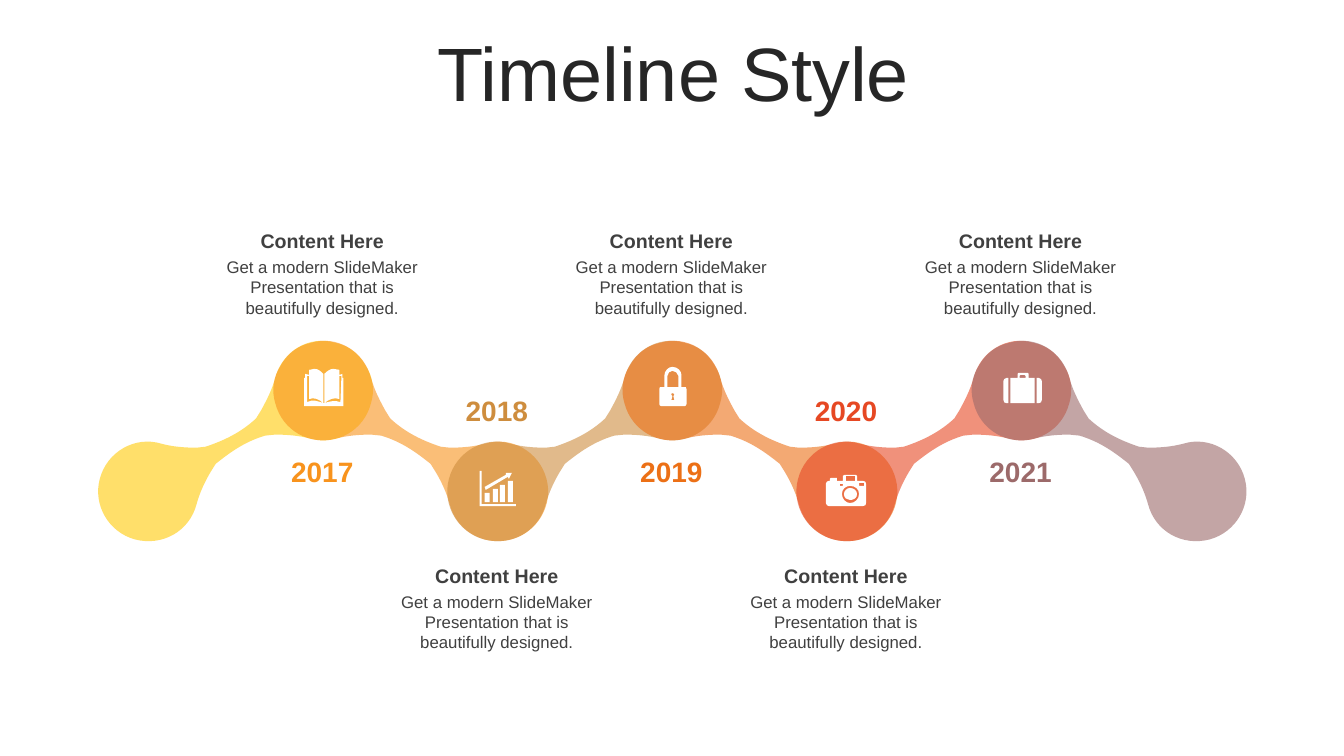
from lxml.etree import SubElement
from pptx import Presentation
from pptx.dml.color import RGBColor
from pptx.enum.text import MSO_ANCHOR, MSO_AUTO_SIZE, PP_ALIGN
from pptx.oxml.ns import qn
from pptx.util import Pt

GRID = 0.72
PITCH = 124.7
FIRST_LINK_X, LINK_Y = 168.5, 314.8
FIRST_NODE_X, UPPER_NODE_Y, LOWER_NODE_Y = 230.2, 278.6, 351.4

LINK = (
    "129 -74, 136 -63 138 -50 134 -37, 127 -10 100 5 74 -2, 63 -5 51 -6 39 -6, 29 -5, "
    "9 1 -5 11 -20 23, -25 31, -31 41 -36 52 -39 63, -46 90 -73 105 -100 98, "
    "-126 91 -142 64 -135 38, -128 11 -100 -5 -74 3, -63 6 -51 7 -39 7, -30 6, "
    "-12 0 5 -8 20 -22, 25 -30, 31 -41 36 -51 39 -62, 46 -89 73 -105 99 -97, "
    "113 -94 123 -85 129 -74"
)
BOOK = (
    "1 13, 2 13, 9 11 12 10 18 12, 19 -14, 17 -14, 17 9, 12 7 7 9 2 13, 2 -16, "
    "5 -19 8 -21 11 -21, 13 -21 15 -20 17 -20, 17 -15, 20 -16, 20 -12, 21 -12, 21 16, "
    "-18 16, -18 -12, -17 -12, -17 -16, -13 -15, -13 -20, -11 -20 -9 -21 -8 -21, "
    "-4 -21 -2 -19 1 -16, 1 13, -3 9 -9 7 -13 9, -13 -14, -15 -14, -15 12, -9 9 -5 11 1 13"
)
GROWTH = (
    "-12 1, -7 1, -7 10, -12 10; -4 -3, 1 -3, 1 10, -4 10; 3 -7, 8 -7, 8 10, 3 10; "
    "11 -11, 16 -11, 16 10, 11 10; "
    "9 -19, 15 -19, 12 -13, 11 -15, -11 -2, -12 -5, 9 -17; "
    "-17 -21, -15 -21, -15 12, 19 12, 19 14, -17 14"
)
PADLOCK = (
    "1 3, 0 3 0 4 0 5, 0 5 0 6 1 6, 0 10, 3 10, 2 6, 3 6 3 5 3 5, 3 4 2 3 1 3; "
    "1 -19, -1 -19 -4 -17 -4 -14, -4 -3, 7 -3, 7 -14, 6 -17 4 -19 1 -19; "
    "1 -23, 6 -23 10 -19 10 -15, 10 -3, 13 -3, 14 -3 15 -3 15 -1, 15 14, "
    "15 15 14 16 13 16, -10 16, -11 16 -12 15 -12 14, -12 -1, -12 -3 -11 -3 -10 -3, "
    "-7 -3, -7 -14, -7 -19 -3 -23 1 -23"
)
CAMERA = (
    "4 -4, 8 -4 11 -1 11 2, 11 6 8 8 4 8, 1 8 -2 6 -2 2, -2 -1 1 -4 4 -4; "
    "4 -6, 0 -6 -4 -3 -4 2, -4 7 0 11 4 11, 9 11 13 7 13 2, 13 -3 9 -6 4 -6; "
    "-6 -8, -6 -6, -3 -6, -3 -8; 13 -9, 13 -6, 18 -6, 18 -9; 0 -16, 0 -11, 9 -11, 9 -16; "
    "-1 -17, 10 -17, 11 -17 11 -16 11 -16, 11 -11, 17 -11, 19 -11 20 -10 20 -8, 20 11, "
    "20 13 19 14 17 14, -17 14, -18 14 -20 13 -20 11, -20 -8, -20 -10 -18 -11 -17 -11, "
    "-16 -11, -16 -13, -16 -13 -16 -14 -15 -14, -9 -14, -9 -14 -9 -13 -9 -13, -9 -11, "
    "-3 -11, -3 -16, -3 -16 -2 -17 -1 -17"
)
SUITCASE = (
    "16 -12, 18 -12, 20 -12 21 -10 21 -9, 21 10, 21 12 20 13 18 13, 16 13; "
    "-14 -12, -12 -12, -12 13, -14 13, -16 13 -17 12 -17 10, -17 -9, -17 -10 -16 -12 -14 -12; "
    "0 -15, -1 -15 -1 -15 -1 -14, -1 -12, 5 -12, 5 -14, 5 -15 5 -15 4 -15; "
    "-2 -17, 6 -17, 7 -17 8 -17 8 -16, 8 -12, 14 -12, 14 13, -10 13, -10 -12, -3 -12, "
    "-3 -16, -3 -17 -3 -17 -2 -17"
)

LINK_COLORS = ["FFCA08", "F8931D", "CE8D3E", "EC7016", "E64823", "9C6A6A"]
MILESTONES = [("2017", BOOK), ("2018", GROWTH), ("2019", PADLOCK),
              ("2020", CAMERA), ("2021", SUITCASE)]
HEADING = "Content Here"
DETAIL = "Get a modern SlideMaker Presentation that is beautifully designed."


def rgb(code):
    """Turn a hex string into a colour."""
    return RGBColor.from_string(code)


def write(frame, text, *, size, color, font, bold=False, spacing=None):
    """Write one centred paragraph in the given format."""
    paragraph = frame.paragraphs[0]
    paragraph.alignment = PP_ALIGN.CENTER
    if spacing:
        paragraph.line_spacing = spacing
    run = paragraph.add_run()
    run.text = text
    run.font.name = font
    run.font.size = Pt(size)
    run.font.bold = bold
    run.font.color.rgb = rgb(color)


def read_segments(contour):
    """Split a contour into segments of one point or three curve points."""
    segments = []
    for segment in contour.split(","):
        values = [int(value) for value in segment.split()]
        segments.append(list(zip(values[::2], values[1::2])))
    return segments


def bend(shape, contours):
    """Join the three steps of each curved segment into one cubic curve."""
    steps = iter(list(shape._element.iter(qn("a:lnTo"))))
    for segments in contours:
        for segment in segments[1:]:
            first = next(steps)
            if len(segment) == 3:
                first.tag = qn("a:cubicBezTo")
                for step in (next(steps), next(steps)):
                    first.append(step[0])
                    step.getparent().remove(step)


class TimelineSlide:
    """Holds the style and the slide being drawn."""

    font = "Arial"
    title_color = "262626"
    text_color = "404040"
    icon_color = "FFFFFF"

    def __init__(self, slide):
        self.slide = slide

    def label(self, text, left, top, width, height, *, anchor=MSO_ANCHOR.MIDDLE,
              grow=True, **style):
        """Add a text box."""
        box = self.slide.shapes.add_textbox(Pt(left), Pt(top), Pt(width), Pt(height))
        frame = box.text_frame
        frame.word_wrap = True
        frame.vertical_anchor = anchor
        frame.auto_size = MSO_AUTO_SIZE.SHAPE_TO_FIT_TEXT if grow else MSO_AUTO_SIZE.NONE
        write(frame, text, font=self.font, **style)

    def outline(self, art, center_x, center_y, color, *, mirror=1, opacity=None):
        """Add a filled outline around a centre."""
        contours = [read_segments(part) for part in art.split(";")]
        builder = None
        for segments in contours:
            start, *steps = [
                (Pt(center_x + mirror * GRID * x), Pt(center_y + GRID * y))
                for segment in segments for x, y in segment]
            if builder is None:
                builder = self.slide.shapes.build_freeform(*start)
            else:
                builder.move_to(*start)
            builder.add_line_segments(steps, close=True)
        shape = builder.convert_to_shape()
        bend(shape, contours)
        shape.shadow.inherit = False
        shape.fill.solid()
        shape.fill.fore_color.rgb = rgb(color)
        shape.line.fill.background()
        if opacity:
            tint = next(shape._element.spPr.iter(qn("a:srgbClr")))
            SubElement(tint, qn("a:alpha"), val=str(opacity * 1000))

    def title(self, text):
        """Add the slide title."""
        self.label(text, 25.2, 26.6, 911.5, 56.9, grow=False, size=54,
                   color=self.title_color, spacing=0.9)

    def link(self, index, color):
        """Add one translucent link of the chain."""
        self.outline(LINK, FIRST_LINK_X + index * PITCH, LINK_Y, color,
                     mirror=-1 if index % 2 else 1, opacity=60)

    def milestone(self, index, year, icon, color):
        """Add the icon, year and text of one milestone."""
        lower = index % 2
        x = FIRST_NODE_X + index * PITCH
        heading_top = 398.9 if lower else 159.8
        self.label(HEADING, x - 82.8, heading_top, 165.6, 24.2, size=14, bold=True,
                   color=self.text_color)
        self.label(DETAIL, x - 82.8, heading_top + 20.2, 165.6, 51,
                   anchor=MSO_ANCHOR.TOP, size=12, color=self.text_color)
        self.label(year, x - 36.7, 277.2 if lower else 321.1, 73.4, 31.5, size=20,
                   bold=True, color=color)
        self.outline(icon, x, LOWER_NODE_Y if lower else UPPER_NODE_Y, self.icon_color)


def main():
    """Build and save the timeline."""
    deck = Presentation()
    deck.slide_width, deck.slide_height = Pt(960), Pt(540)
    timeline = TimelineSlide(deck.slides.add_slide(deck.slide_layouts[6]))
    timeline.title("Timeline Style")
    for index, color in enumerate(LINK_COLORS):
        timeline.link(index, color)
    for index, (year, icon) in enumerate(MILESTONES):
        timeline.milestone(index, year, icon, LINK_COLORS[index + 1])
    deck.save("out.pptx")


if __name__ == "__main__":
    main()
